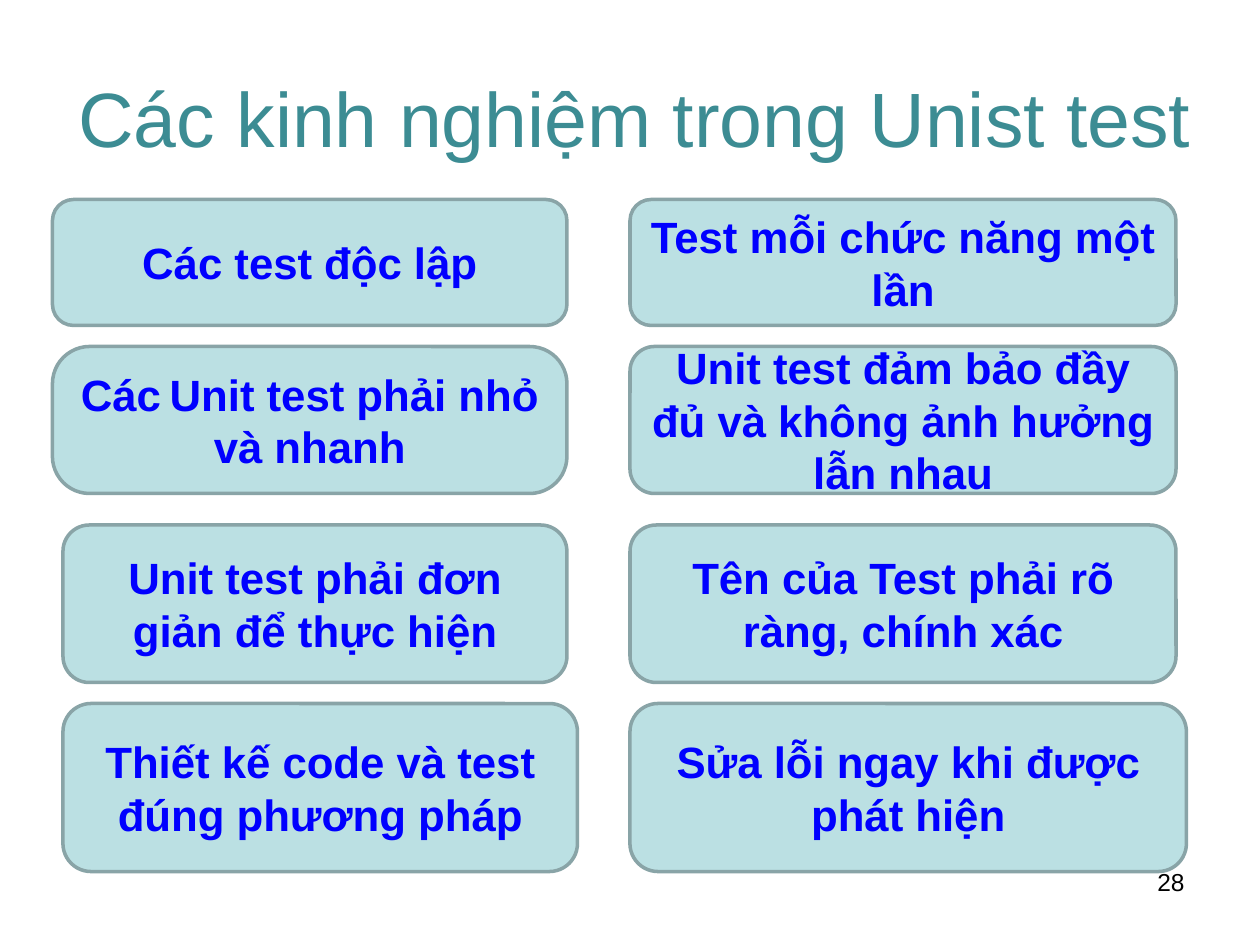
"""Build a slide of eight unit-testing tips in two columns of rounded boxes."""
from pptx import Presentation
from pptx.dml.color import RGBColor as RGB
from pptx.enum.shapes import MSO_SHAPE as SHAPE
from pptx.enum.text import MSO_ANCHOR as ANCHOR, PP_ALIGN as ALIGN
from pptx.util import Pt

COLORS = {"title": "3C8C93", "fill": "BBE0E3", "line": "89A4A7",
          "tip": "0000FF", "number": "000000"}
ROWS = [(114, 72), (198, 84), (300, 90), (402, 96)]
LEFT_TIPS = [
    (30, 294, 0.167, [("Các test độc lập", 25)]),
    (30, 294, 0.253, [("Các", 25), (" ", 18), ("Unit test phải nhỏ và nhanh", 25)]),
    (36, 288, 0.167, [("Unit test phải đơn giản để thực hiện", 25)]),
    (36, 294, 0.167, [("Thiết kế code và test đúng phương pháp", 25)]),
]
RIGHT_TIPS = [
    (360, 312, 0.167, [("Test mỗi chức năng một lần", 25)]),
    (360, 312, 0.167, [("Unit test đảm bảo đầy đủ và không ảnh hưởng lẫn nhau", 25)]),
    (360, 312, 0.167, [("Tên của Test phải rõ ràng, chính xác", 25)]),
    (360, 318, 0.167, [("Sửa lỗi ngay khi được phát hiện", 25)]),
]


def rgb(name):
    return RGB.from_string(COLORS[name])


def write(sp, runs, color, align, anchor, bold=False):
    tf = sp.text_frame
    tf.word_wrap = True
    tf.vertical_anchor = anchor
    p = tf.paragraphs[0]
    p.alignment = align
    for text, size in runs:
        r = p.add_run()
        r.text = text
        r.font.name = "Arial"
        r.font.size = Pt(size)
        r.font.bold = bold
        r.font.color.rgb = rgb(color)


def add_title(s, text):
    sp = s.shapes.title
    sp.left, sp.top, sp.width, sp.height = Pt(24), Pt(21.6), Pt(678), Pt(90)
    write(sp, [(text, 44)], "title", ALIGN.CENTER, ANCHOR.MIDDLE)


def add_tip(s, left, top, width, height, radius, runs):
    sp = s.shapes.add_shape(SHAPE.ROUNDED_RECTANGLE,
                            Pt(left), Pt(top), Pt(width), Pt(height))
    sp.adjustments[0] = radius
    sp.shadow.inherit = False
    sp.fill.solid()
    sp.fill.fore_color.rgb = rgb("fill")
    sp.line.color.rgb = rgb("line")
    sp.line.width = Pt(2)
    write(sp, runs, "tip", ALIGN.CENTER, ANCHOR.MIDDLE, bold=True)


def add_number(s, text):
    sp = s.shapes.add_textbox(Pt(516), Pt(492), Pt(168), Pt(37.5))
    write(sp, [(text, 14)], "number", ALIGN.RIGHT, ANCHOR.TOP)


def main():
    prs = Presentation()
    prs.slide_width, prs.slide_height = Pt(720), Pt(540)
    s = prs.slides.add_slide(prs.slide_layouts[5])
    add_title(s, "Các kinh nghiệm trong Unist test")
    add_number(s, "28")
    for tips in (LEFT_TIPS, RIGHT_TIPS):
        for (top, height), (left, width, radius, runs) in zip(ROWS, tips):
            add_tip(s, left, top, width, height, radius, runs)
    prs.save("out.pptx")


if __name__ == "__main__":
    main()
